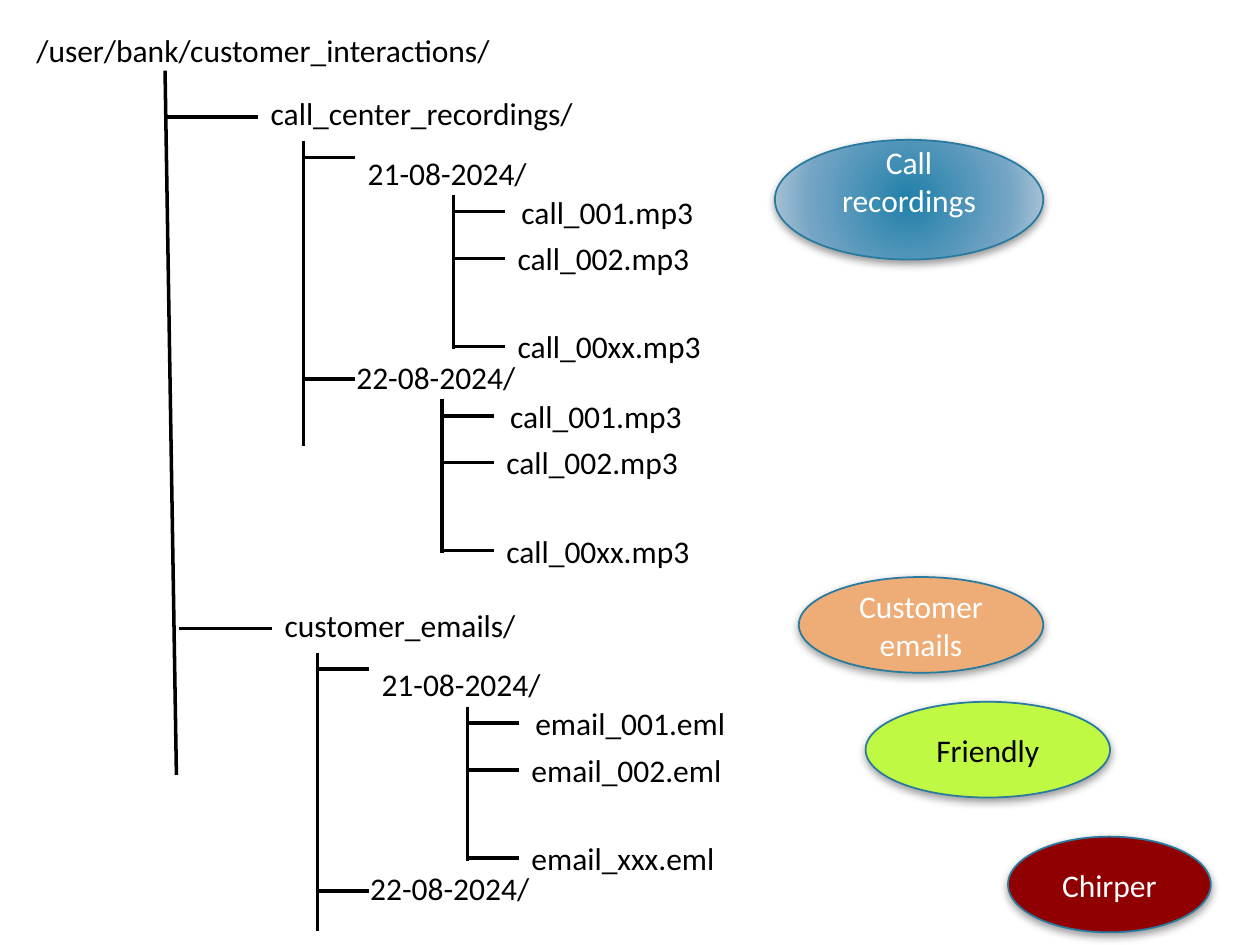
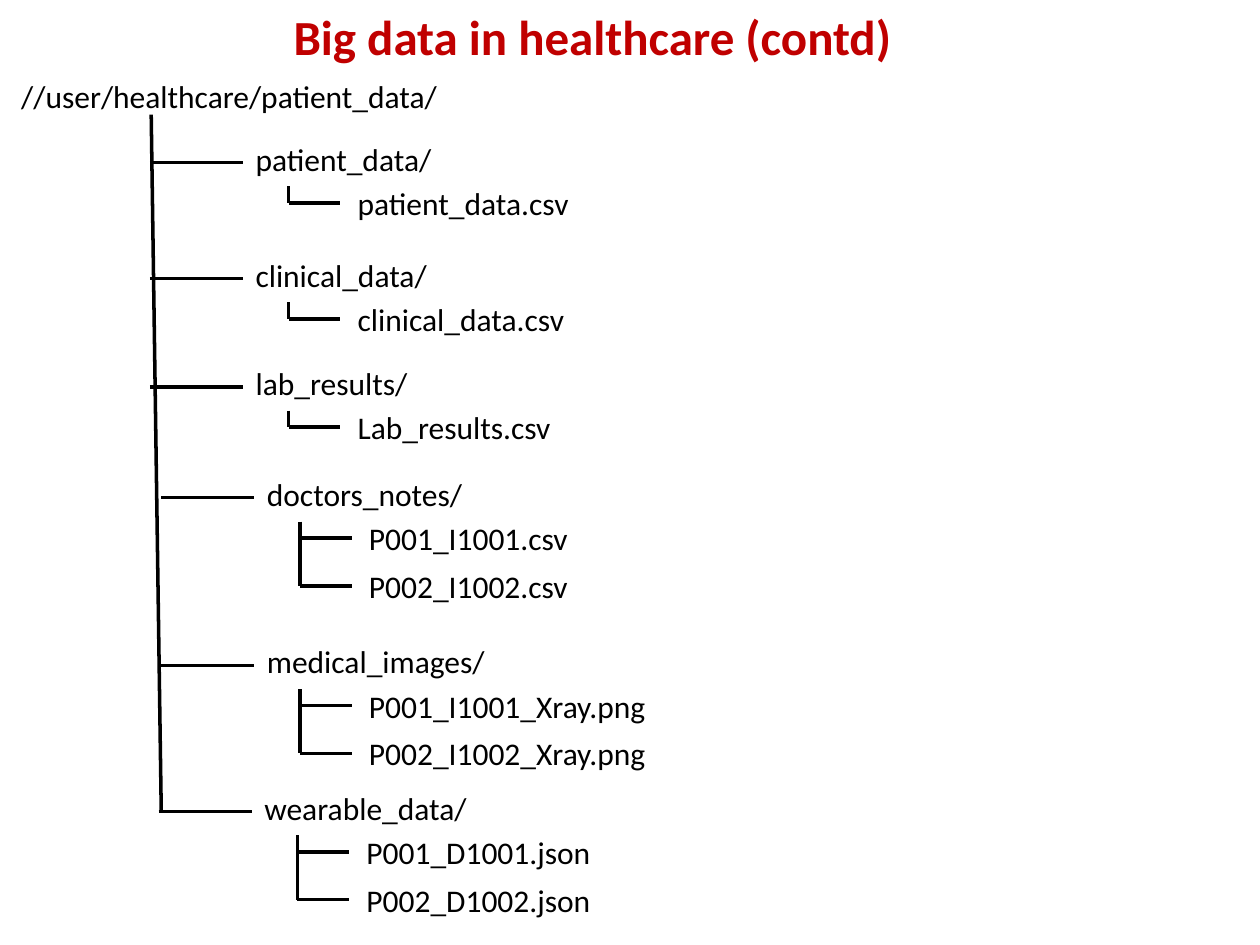
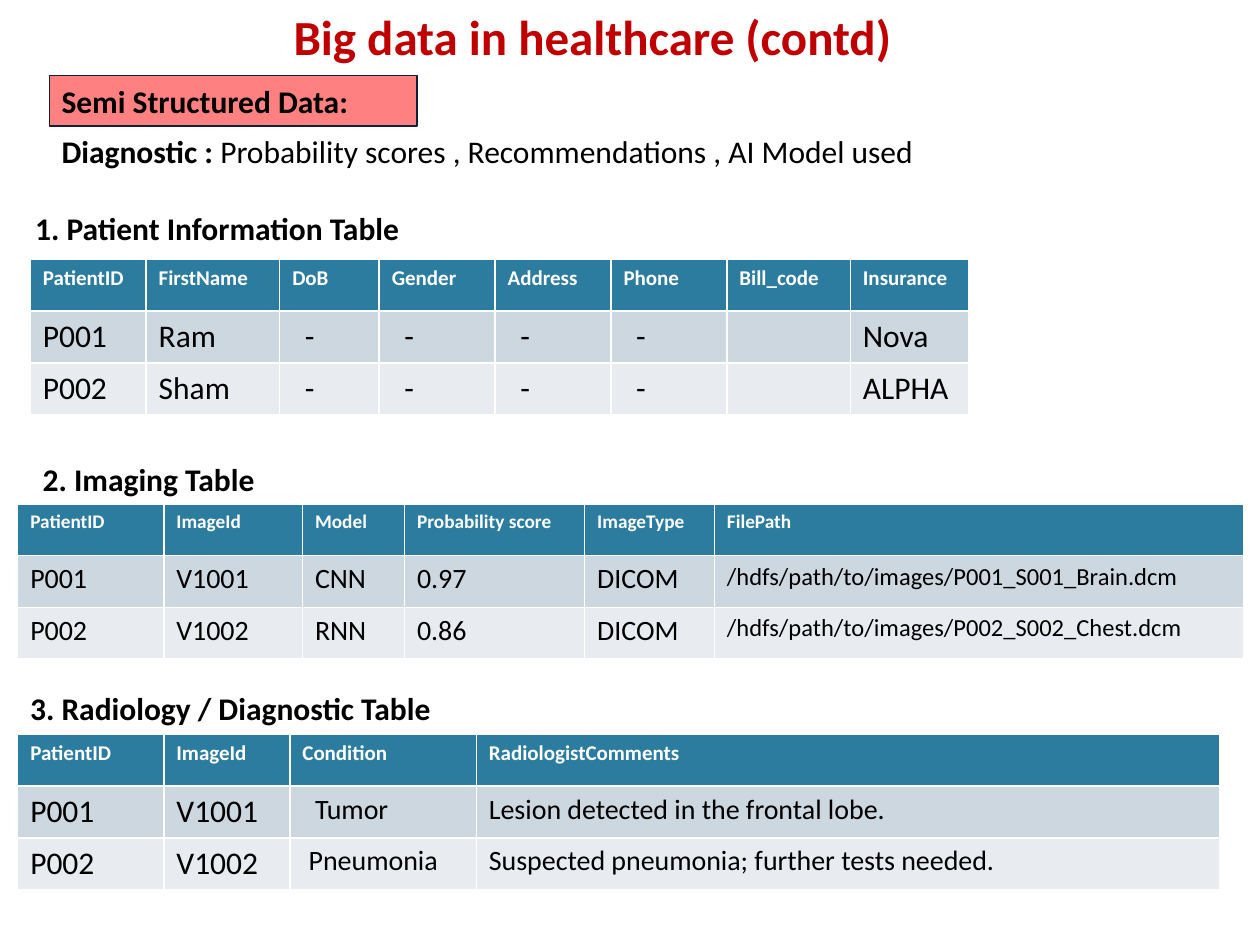
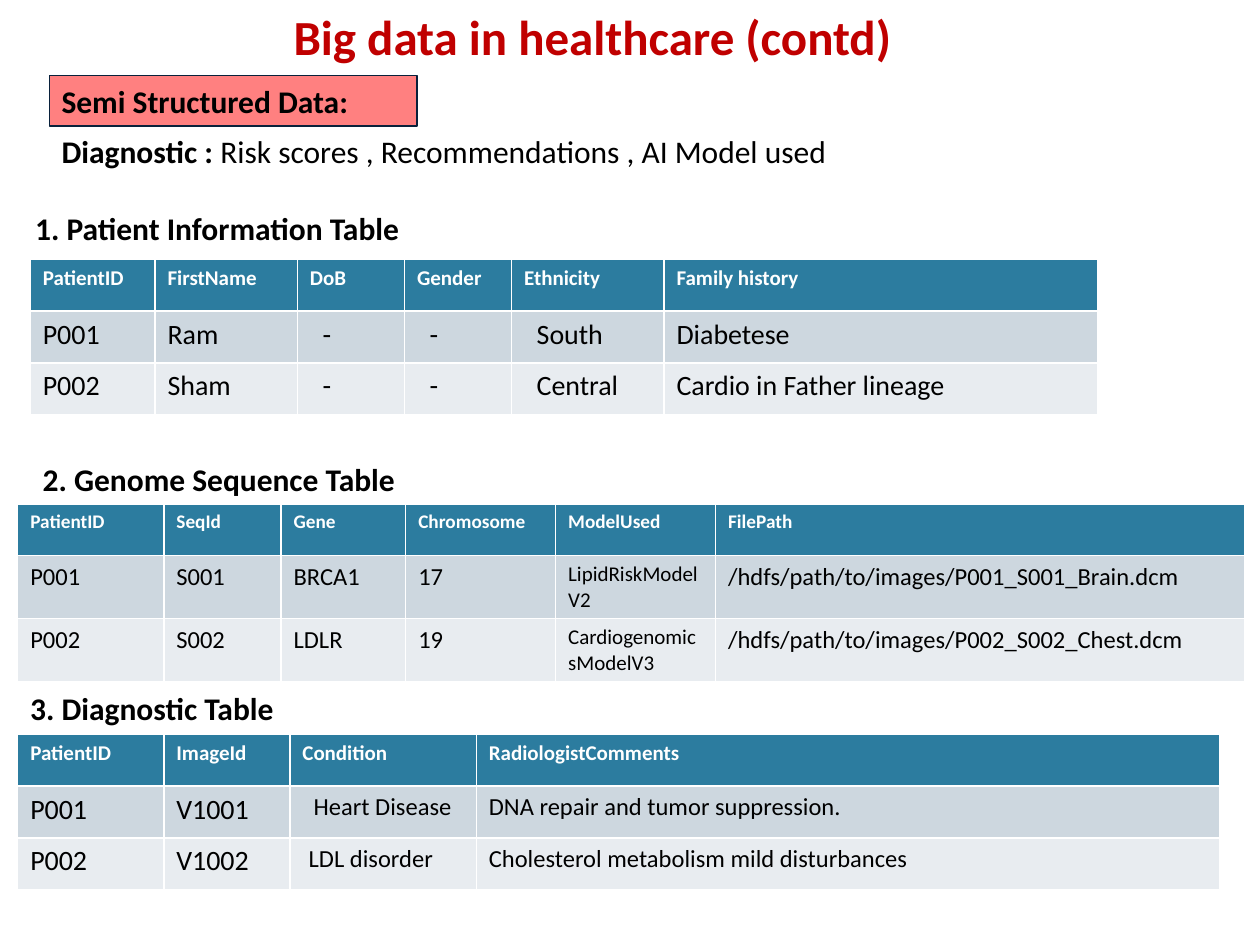
"""Build four slides on bank and healthcare big data: folder trees and record tables."""
from dataclasses import dataclass
from typing import Optional

import lxml.etree
import pptx
import pptx.dml.color
import pptx.enum.shapes
import pptx.enum.text
import pptx.oxml
import pptx.oxml.ns
import pptx.presentation
import pptx.shapes.autoshape
import pptx.shapes.connector
import pptx.slide
import pptx.text.text
import pptx.util

EMU_PER_PX = 9144
FONT = "Calibri"
BLACK, WHITE = "000000", "FFFFFF"
TITLE_RED, BANNER_PINK, BANNER_EDGE = "C00000", "FF8080", "09213B"
HEADER_BLUE, BANDS = "2C7C9F", ("CDD7DF", "E8ECF0")
SOURCE_EDGE = "287A9E"
RECORDINGS_GRADIENT = ((0, "2180AA"), (69, "75A5C5"), (100, "B8CCDC"))
ROW_HEIGHT, CELL_MARGIN, LABEL_HEIGHT = 41, 10, 40
TICK = 41
PP_ALIGN = pptx.enum.text.PP_ALIGN
MSO_ANCHOR = pptx.enum.text.MSO_ANCHOR
MSO_SHAPE = pptx.enum.shapes.MSO_SHAPE


@dataclass(frozen=True)
class Entry:
    """A file or folder name and the width of its label."""
    name: str
    width: int


@dataclass(frozen=True)
class Folder:
    """A folder label, its place and the files under it."""
    entry: Entry
    x: int
    y: int
    files: tuple[Entry, ...] = ()


@dataclass(frozen=True)
class Day:
    """A dated folder, placed from the top of its trunk."""
    name: str
    tick_y: int
    label_x: int
    label_y: int


@dataclass(frozen=True)
class Source:
    """An ellipse that names a data source."""
    name: str
    x: int
    y: int
    width: int
    height: int
    fill: Optional[str]
    color: str = WHITE
    bottom_margin: int = 5


@dataclass(frozen=True)
class Column:
    """A table column with its values, text size and value indents."""
    heading: str
    width: int
    values: tuple[str, str]
    size: int = 18
    indents: tuple[int, int] = (0, 0)


@dataclass(frozen=True)
class Slot:
    """The place of a heading and of the table below it."""
    heading_x: int
    heading_y: int
    table_x: int
    table_y: int
    header_size: int


@dataclass(frozen=True)
class Section:
    """A numbered heading and its table."""
    heading: Entry
    columns: tuple[Column, ...]


DAYS = (Day("21-08-2024/", 13, 41, 5), Day("22-08-2024/", 189, 32, 167))
FILE_ROWS = ((44, 13), (TICK, 50), (TICK, 120))
CALLS = (Entry("call_001.mp3", 170), Entry("call_002.mp3", 170), Entry("call_00xx.mp3", 181))
EMAILS = (Entry("email_001.eml", 184), Entry("email_002.eml", 184), Entry("email_xxx.eml", 180))
INTERACTIONS = (
    (Folder(Entry("call_center_recordings/", 281), 205, 70), 242, (CALLS, CALLS)),
    (Folder(Entry("customer_emails/", 218), 216, 476), 221, (EMAILS, ())),
)
SOURCES = (
    Source("Call recordings", 615, 111, 213, 95, None, bottom_margin=35),
    Source("Customer emails", 634, 458, 194, 76, "EEAC77"),
    Source("Friendly", 687, 557, 194, 76, "BFF944", BLACK),
    Source("Chirper", 800, 664, 161, 76, "900000"),
)
PATIENT_FOLDERS = (
    Folder(Entry("patient_data/", 166), 193, 106, (Entry("patient_data.csv", 204),)),
    Folder(Entry("clinical_data/", 166), 193, 198, (Entry("clinical_data.csv", 204),)),
    Folder(Entry("lab_results/", 149), 193, 284, (Entry("Lab_results.csv", 196),)),
    Folder(Entry("doctors_notes/", 186), 202, 372,
           (Entry("P001_I1001.csv", 201), Entry("P002_I1002.csv", 201))),
    Folder(Entry("medical_images/", 211), 202, 505,
           (Entry("P001_I1001_Xray.png", 269), Entry("P002_I1002_Xray.png", 269))),
    Folder(Entry("wearable_data/", 193), 200, 621,
           (Entry("P001_D1001.json", 221), Entry("P002_D1002.json", 221))),
)

SLOTS = (
    Slot(18, 161, 24, 206, 12),
    Slot(24, 360, 14, 400, 11),
    Slot(14, 542, 14, 583, 12),
)
PATIENT_HEADING = Entry("1. Patient Information Table", 349)
PATIENTS = ("P001", "P002")
NAMES = ("Ram", "Sham")
UNKNOWN = ("-", "-")
IMAGES = ("V1001", "V1002")
INDENTED = (10, 10)
FILE_PATH = Column("FilePath", 420, ("/hdfs/path/to/images/P001_S001_Brain.dcm",
                                     "/hdfs/path/to/images/P002_S002_Chest.dcm"), 14)
IMAGING_SECTIONS = (
    Section(PATIENT_HEADING, (
        Column("PatientID", 92, PATIENTS),
        Column("FirstName", 106, NAMES),
        Column("DoB", 79, UNKNOWN, indents=INDENTED),
        Column("Gender", 92, UNKNOWN, indents=INDENTED),
        Column("Address", 92, UNKNOWN, indents=INDENTED),
        Column("Phone", 92, UNKNOWN, indents=INDENTED),
        Column("Bill_code", 98, ("", "")),
        Column("Insurance", 94, ("Nova", "ALPHA")),
    )),
    Section(Entry("2. Imaging Table", 223), (
        Column("PatientID", 116, PATIENTS, 16),
        Column("ImageId", 110, IMAGES, 16),
        Column("Model", 81, ("CNN", "RNN"), 16),
        Column("Probability score", 143, ("0.97", "0.86"), 16),
        Column("ImageType", 103, ("DICOM", "DICOM"), 16),
        FILE_PATH,
    )),
    Section(Entry("3. Radiology / Diagnostic Table", 398), (
        Column("PatientID", 116, PATIENTS),
        Column("ImageId", 100, IMAGES),
        Column("Condition", 148, ("Tumor", "Pneumonia"), 16, (10, 5)),
        Column("RadiologistComments", 590, ("Lesion detected in the frontal lobe.",
                                            "Suspected pneumonia; further tests needed."), 16),
    )),
)
GENOME_SECTIONS = (
    Section(PATIENT_HEADING, (
        Column("PatientID", 99, PATIENTS, 16),
        Column("FirstName", 113, NAMES, 16),
        Column("DoB", 85, UNKNOWN, 16, INDENTED),
        Column("Gender", 85, UNKNOWN, 16, INDENTED),
        Column("Ethnicity", 121, ("South", "Central"), 16, INDENTED),
        Column("Family history", 344, ("Diabetese", "Cardio in Father lineage"), 16),
    )),
    Section(Entry("2. Genome Sequence Table", 354), (
        Column("PatientID", 116, PATIENTS, 14),
        Column("SeqId", 93, ("S001", "S002"), 14),
        Column("Gene", 99, ("BRCA1", "LDLR"), 14),
        Column("Chromosome", 119, ("17", "19"), 14),
        Column("ModelUsed", 127, ("LipidRiskModelV2", "CardiogenomicsModelV3"), 12),
        FILE_PATH,
    )),
    Section(Entry("3. Diagnostic Table", 255), (
        Column("PatientID", 116, PATIENTS, 16),
        Column("ImageId", 100, IMAGES, 16),
        Column("Condition", 148, ("Heart Disease", "LDL disorder"), 14, (9, 5)),
        Column("RadiologistComments", 590, ("DNA repair and tumor suppression.",
                                            "Cholesterol metabolism mild disturbances"), 14),
    )),
)


def px(length: int) -> pptx.util.Emu:
    """Turn px into EMU."""
    return pptx.util.Emu(length * EMU_PER_PX)


def rgb(value: str) -> pptx.dml.color.RGBColor:
    """Turn a hex string into a colour."""
    return pptx.dml.color.RGBColor.from_string(value)


def write(frame: pptx.text.text.TextFrame, text: str, *, lead: str = "", size: int = 18,
          color: str = BLACK, bold: bool = False, align: PP_ALIGN = PP_ALIGN.LEFT,
          anchor: MSO_ANCHOR = MSO_ANCHOR.TOP, wrap: bool = True) -> None:
    """Fill a frame with one paragraph, after an optional bold lead."""
    frame.word_wrap = wrap
    frame.vertical_anchor = anchor
    paragraph = frame.paragraphs[0]
    paragraph.alignment = align
    for words, heavy in ((lead, True), (text, bold)):
        if words:
            run = paragraph.add_run()
            run.text = words
            run.font.name = FONT
            run.font.size = pptx.util.Pt(size)
            run.font.bold = heavy
            run.font.color.rgb = rgb(color)


def add_label(slide: pptx.slide.Slide, entry: Entry, x: int, y: int,
              bold: bool = False) -> pptx.shapes.autoshape.Shape:
    """Add a one-line label."""
    label = slide.shapes.add_textbox(px(x), px(y), px(entry.width), px(LABEL_HEIGHT))
    write(label.text_frame, entry.name, bold=bold, wrap=False)
    label.text_frame.auto_size = pptx.enum.text.MSO_AUTO_SIZE.SHAPE_TO_FIT_TEXT
    return label


def add_branch(slide: pptx.slide.Slide, x: int, y: int, dx: int = 0,
               dy: int = 0) -> pptx.shapes.connector.Connector:
    """Add one line of a tree."""
    branch = slide.shapes.add_connector(pptx.enum.shapes.MSO_CONNECTOR.STRAIGHT,
                                        px(x), px(y), px(x + dx), px(y + dy))
    branch.line.color.rgb = rgb(BLACK)
    branch.line.width = pptx.util.Pt(2)
    lxml.etree.SubElement(branch.element.spPr, pptx.oxml.ns.qn("a:effectLst"))
    return branch


def add_folder(slide: pptx.slide.Slide, folder: Folder) -> None:
    """Add a folder with its branch and its files."""
    x, y = folder.x, folder.y
    add_branch(slide, x - 74, y + 23, dx=74)
    add_label(slide, folder.entry, x, y)
    if folder.files:
        add_branch(slide, x + 36, y + 42, dy=13 + 38 * (len(folder.files) - 1))
    for row, entry in enumerate(folder.files):
        tick_y = y + 55 + 38 * row
        add_branch(slide, x + 36, tick_y, dx=TICK)
        add_label(slide, entry, x + 81, tick_y - LABEL_HEIGHT // 2)


def add_day_files(slide: pptx.slide.Slide, files: tuple[Entry, ...], x: int, y: int) -> None:
    """Add the files of one day along their trunk."""
    add_branch(slide, x, y, dy=122)
    for entry, (label_x, tick_y) in zip(files, FILE_ROWS):
        branch = add_branch(slide, x, y + tick_y, dx=TICK)
        label = add_label(slide, entry, x + label_x, y + tick_y - LABEL_HEIGHT // 2)
        if label_x == TICK:
            branch.end_connect(label, 1)


def add_source(slide: pptx.slide.Slide, source: Source) -> None:
    """Add a source ellipse with a soft shadow."""
    ellipse = slide.shapes.add_shape(MSO_SHAPE.OVAL, px(source.x), px(source.y),
                                     px(source.width), px(source.height))
    namespace = pptx.oxml.ns.nsdecls("a")
    properties = ellipse.element.spPr
    if source.fill:
        ellipse.fill.solid()
        ellipse.fill.fore_color.rgb = rgb(source.fill)
    else:
        stops = "".join(f'<a:gs pos="{stop * 1000}"><a:srgbClr val="{color}"/></a:gs>'
                        for stop, color in RECORDINGS_GRADIENT)
        properties.append(pptx.oxml.parse_xml(
            f'<a:gradFill {namespace} rotWithShape="1"><a:gsLst>{stops}</a:gsLst>'
            '<a:path path="circle"><a:fillToRect l="100000" t="100000" r="100000" b="100000"/>'
            '</a:path></a:gradFill>'))
    ellipse.line.color.rgb = rgb(SOURCE_EDGE)
    ellipse.line.width = pptx.util.Pt(1)
    ellipse.shadow.inherit = False
    properties.find(pptx.oxml.ns.qn("a:effectLst")).append(pptx.oxml.parse_xml(
        f'<a:outerShdw {namespace} blurRad="63500" dist="25400" dir="5400000" rotWithShape="0">'
        f'<a:srgbClr val="{BLACK}"><a:alpha val="40000"/></a:srgbClr></a:outerShdw>'))
    write(ellipse.text_frame, source.name, color=source.color,
          align=PP_ALIGN.CENTER, anchor=MSO_ANCHOR.MIDDLE)
    ellipse.text_frame.margin_bottom = px(source.bottom_margin)


def add_section(slide: pptx.slide.Slide, section: Section, slot: Slot) -> None:
    """Add a heading and its table."""
    add_label(slide, section.heading, slot.heading_x, slot.heading_y, bold=True)
    columns = section.columns
    table = slide.shapes.add_table(3, len(columns), px(slot.table_x), px(slot.table_y),
                                   px(sum(column.width for column in columns)),
                                   px(3 * ROW_HEIGHT)).table
    for index, column in enumerate(columns):
        table.columns[index].width = px(column.width)
        header = table.cell(0, index)
        header.fill.solid()
        header.fill.fore_color.rgb = rgb(HEADER_BLUE)
        write(header.text_frame, column.heading, size=slot.header_size, color=WHITE, bold=True)
        rows = zip(column.values, column.indents, BANDS)
        for row, (value, indent, band) in enumerate(rows, start=1):
            cell = table.cell(row, index)
            cell.fill.solid()
            cell.fill.fore_color.rgb = rgb(band)
            cell.margin_left = px(CELL_MARGIN + indent)
            write(cell.text_frame, value, size=column.size)


def add_healthcare_slide(deck: pptx.presentation.Presentation) -> pptx.slide.Slide:
    """Add a slide with the shared healthcare title."""
    slide = deck.slides.add_slide(deck.slide_layouts[5])
    title = slide.shapes.title
    title.left, title.top, title.width, title.height = px(223), px(0), px(586), px(57)
    write(title.text_frame, "Big data in healthcare (contd)", size=28, color=TITLE_RED, bold=True)
    return slide


def build_interactions(deck: pptx.presentation.Presentation) -> None:
    """Build the tree of the bank's customer interactions."""
    slide = deck.slides.add_slide(deck.slide_layouts[6])
    add_label(slide, Entry("/user/bank/customer_interactions/", 399), 19, 20)
    add_branch(slide, 131, 56, dx=9, dy=559)
    for folder, trunk_length, files_by_day in INTERACTIONS:
        add_folder(slide, folder)
        x, y = folder.x + 36, folder.y + 42
        add_branch(slide, x, y, dy=trunk_length)
        for day, files in zip(DAYS, files_by_day):
            label_x, label_y = x + day.label_x, y + day.label_y
            add_branch(slide, x, y + day.tick_y, dx=TICK)
            add_label(slide, Entry(day.name, 156), label_x, label_y)
            if files:
                add_day_files(slide, files, label_x + 78, label_y + 38)
    for source in SOURCES:
        add_source(slide, source)


def build_patient_folders(deck: pptx.presentation.Presentation) -> None:
    """Build the tree of patient data."""
    slide = add_healthcare_slide(deck)
    add_label(slide, Entry("//user/healthcare/patient_data/", 361), 7, 56)
    add_branch(slide, 120, 91, dx=8, dy=554)
    for folder in PATIENT_FOLDERS:
        add_folder(slide, folder)


def build_records(deck: pptx.presentation.Presentation, diagnostic: str,
                  sections: tuple[Section, ...]) -> None:
    """Build a slide of semi-structured record tables."""
    slide = add_healthcare_slide(deck)
    summary = slide.shapes.add_textbox(px(39), px(100), px(808), px(71))
    write(summary.text_frame, diagnostic, lead="Diagnostic : ")
    banner = slide.shapes.add_shape(MSO_SHAPE.RECTANGLE, px(39), px(60), px(292), px(LABEL_HEIGHT))
    banner.shadow.inherit = False
    banner.fill.solid()
    banner.fill.fore_color.rgb = rgb(BANNER_PINK)
    banner.line.color.rgb = rgb(BANNER_EDGE)
    banner.line.width = pptx.util.Pt(0.75)
    write(banner.text_frame, "Semi Structured Data:", bold=True)
    for section, slot in zip(sections, SLOTS):
        add_section(slide, section, slot)


def main() -> None:
    """Build and save the deck."""
    deck = pptx.Presentation()
    deck.slide_width, deck.slide_height = px(1000), px(750)
    build_interactions(deck)
    build_patient_folders(deck)
    build_records(deck, "Probability scores , Recommendations , AI Model used", IMAGING_SECTIONS)
    build_records(deck, "Risk scores , Recommendations , AI Model used", GENOME_SECTIONS)
    deck.save("out.pptx")


if __name__ == "__main__":
    main()
